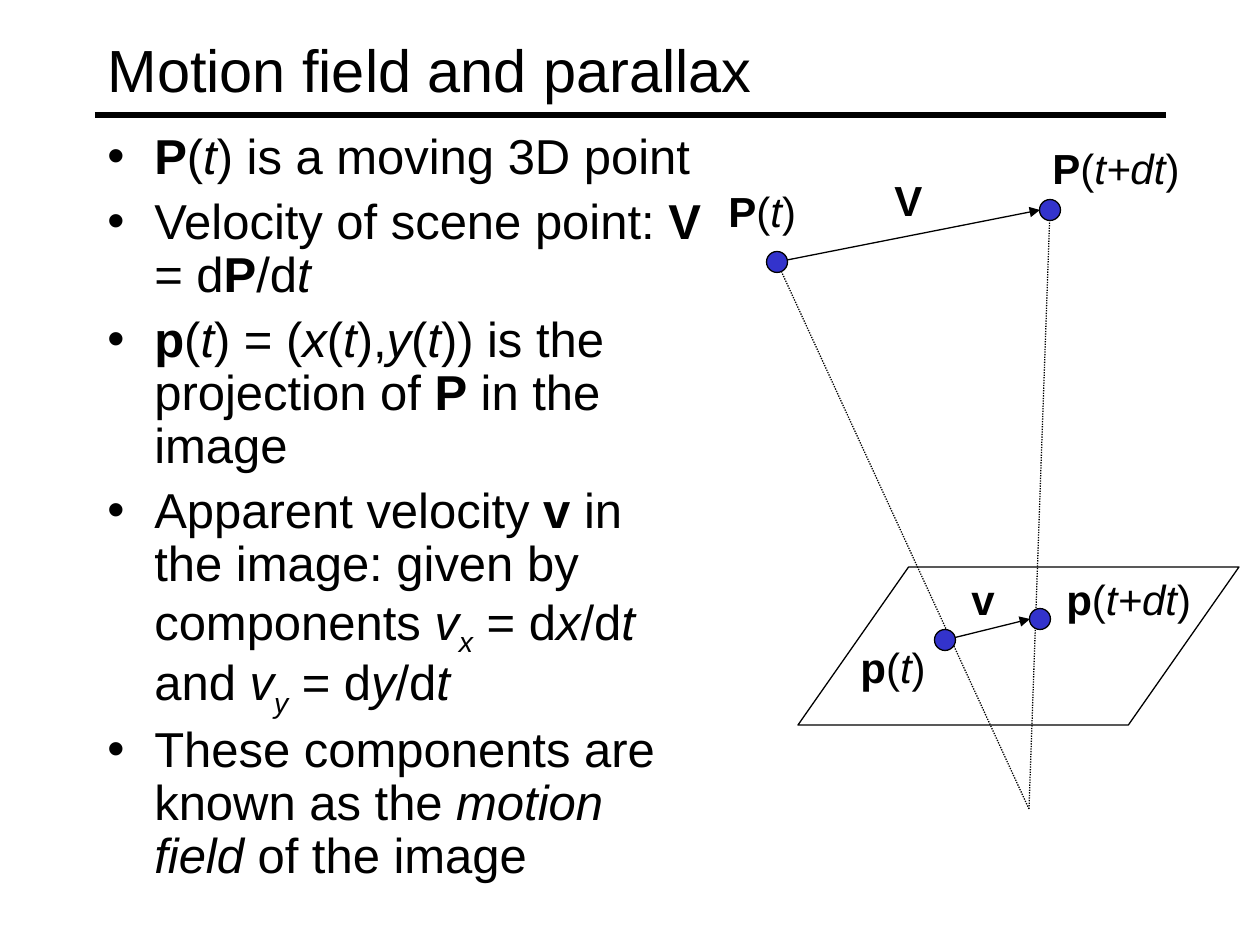
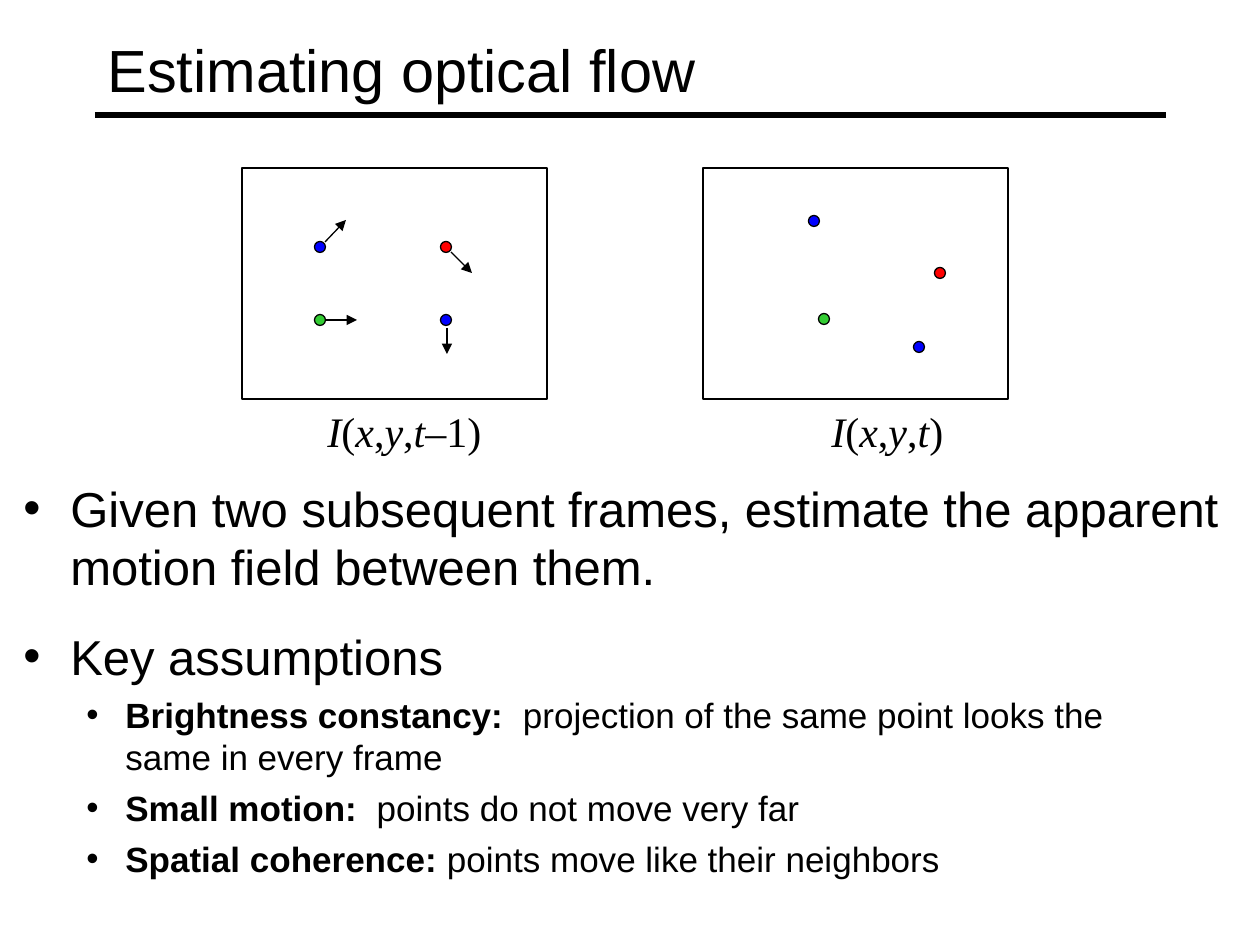
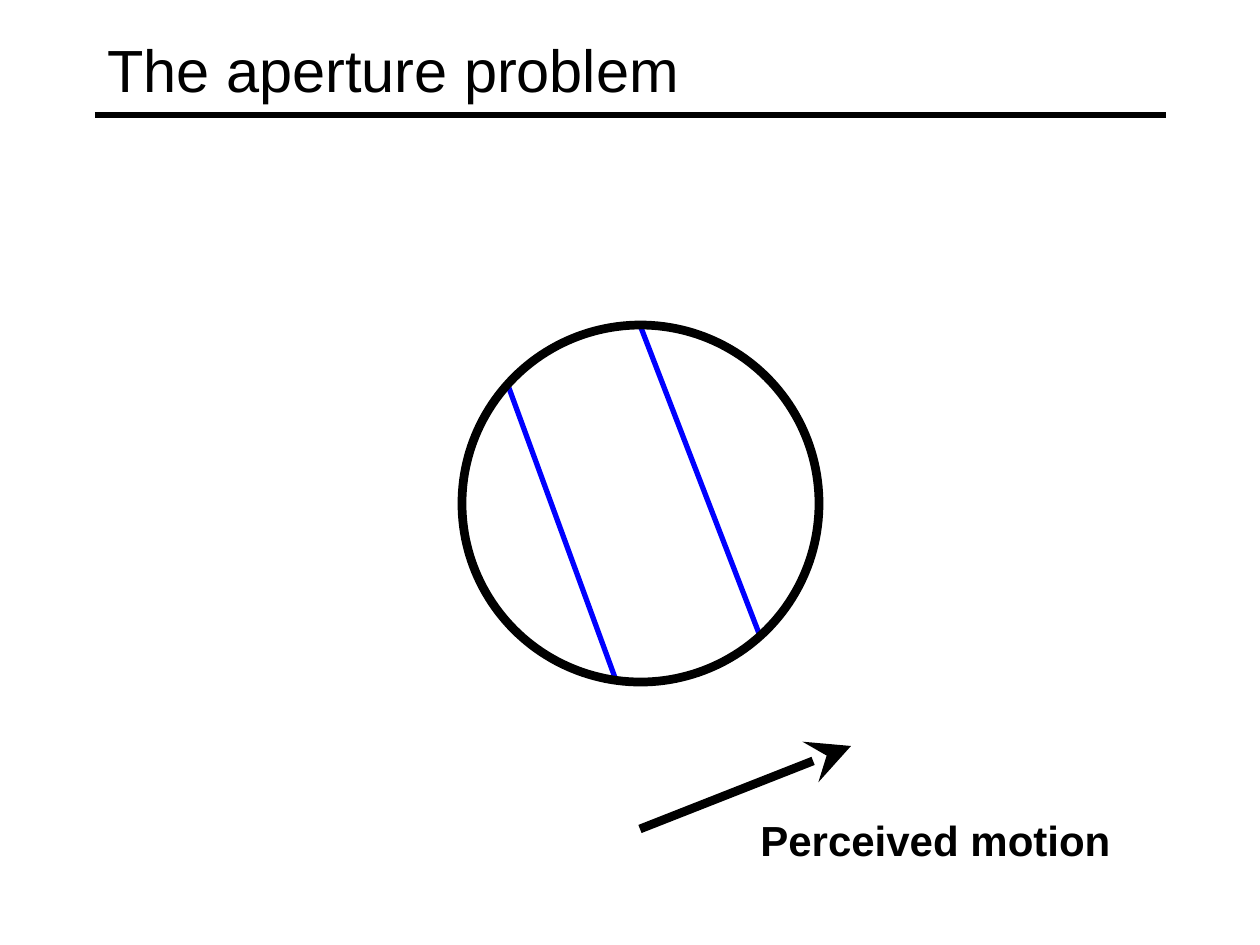
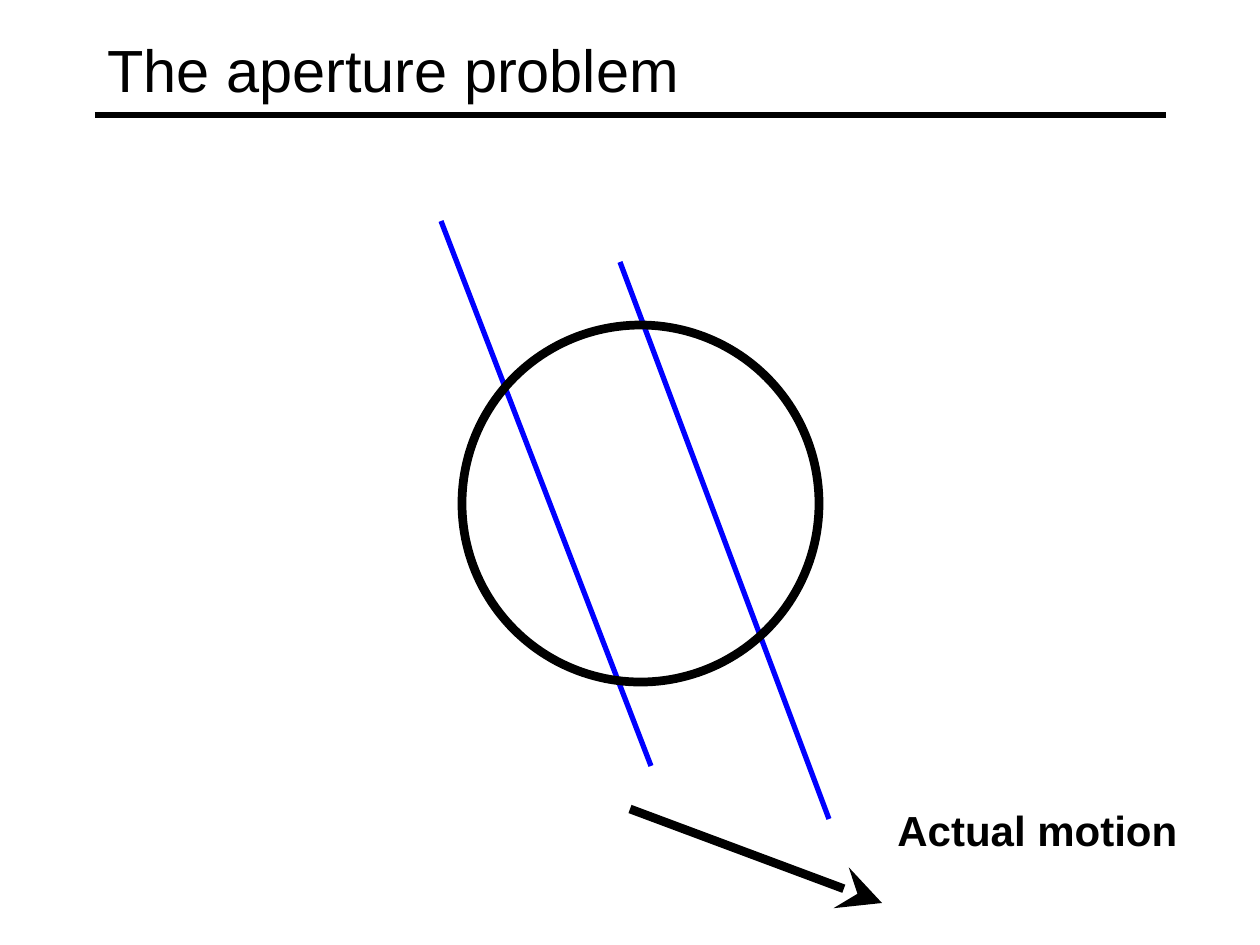
import pptx
import pptx.util
import pptx.dml.color
import pptx.enum.dml
import pptx.enum.shapes
import pptx.enum.text
import pptx.oxml.ns
from lxml import etree

PX_PER_INCH = 126
BLACK = pptx.dml.color.RGBColor(0x00, 0x00, 0x00)
WHITE = pptx.dml.color.RGBColor(0xFF, 0xFF, 0xFF)
BLUE = pptx.dml.color.RGBColor(0x00, 0x00, 0xFF)
RED = pptx.dml.color.RGBColor(0xFF, 0x00, 0x00)
GREEN = pptx.dml.color.RGBColor(0x33, 0xCC, 0x33)
INDIGO = pptx.dml.color.RGBColor(0x33, 0x33, 0xCC)
SANS = "Arial"
SERIF = "Times New Roman"
LABEL_HEIGHT = 63
SHAPES = pptx.enum.shapes.MSO_SHAPE
DOTTED = pptx.enum.dml.MSO_LINE.ROUND_DOT

# Arrowheads: type, and width and length
SMALL_HEAD = {"type": "triangle"}
LARGE_HEAD = {"type": "stealth", "w": "lg", "len": "lg"}

# Bullet levels: text size, left indent px, hanging px, space before
LEVELS = [(28, 47, 47, 7), (20, 102, 39, 5)]


def px(length):
    return pptx.util.Emu(round(length * 914400 / PX_PER_INCH))


def add_child(parent, tag, **attributes):
    return etree.SubElement(parent, pptx.oxml.ns.qn(tag), attributes)


# Text: a run is a plain string or (string, style); b bold, i italic, s subscript
def add_runs(para, runs, size, font=SANS):
    for run in runs:
        text, style = (run, "") if isinstance(run, str) else run
        span = para.add_run()
        span.text = text
        span.font.name = font
        span.font.size = pptx.util.Pt(size)
        span.font.color.rgb = BLACK
        span.font.bold = "b" in style
        span.font.italic = "i" in style
        if "s" in style:
            span.font._element.set("baseline", "-25000")


def add_label(page, left, top, width, runs, font=SANS):
    box = page.shapes.add_textbox(px(left), px(top), px(width), px(LABEL_HEIGHT))
    box.text_frame.word_wrap = False
    box.text_frame.auto_size = pptx.enum.text.MSO_AUTO_SIZE.SHAPE_TO_FIT_TEXT
    add_runs(box.text_frame.paragraphs[0], runs, 24, font)


def add_bullets(page, area, items, line_spacing=1.0):
    """Each item is (level, runs)."""
    box = page.shapes.add_textbox(*map(px, area))
    frame = box.text_frame
    frame.word_wrap = True
    for index, (level, runs) in enumerate(items):
        para = frame.add_paragraph() if index else frame.paragraphs[0]
        size, indent, hanging, before = LEVELS[level]
        para.level = level
        para.line_spacing = line_spacing
        para.space_before = pptx.util.Pt(before)
        props = para._p.get_or_add_pPr()
        props.set("marL", str(px(indent)))
        props.set("indent", str(-px(hanging)))
        add_child(add_child(props, "a:buClr"), "a:srgbClr", val=str(BLACK))
        add_child(props, "a:buFont", typeface=SANS)
        add_child(props, "a:buChar", char="•")
        add_runs(para, runs, size)


# Shapes and lines
def add_figure(page, kind, area, fill=None, weight=0.75):
    figure = page.shapes.add_shape(kind, *map(px, area))
    figure.shadow.inherit = False
    if fill is None:
        figure.fill.background()
    else:
        figure.fill.solid()
        figure.fill.fore_color.rgb = fill
    figure.line.color.rgb = BLACK
    figure.line.width = pptx.util.Pt(weight)
    return figure


def add_dot(page, x, y, size, fill):
    add_figure(page, SHAPES.OVAL, (x - size / 2, y - size / 2, size, size), fill)


def add_line(page, start, end, weight=0.75, color=BLACK, dash=None, head=None):
    line = page.shapes.add_connector(
        pptx.enum.shapes.MSO_CONNECTOR.STRAIGHT, *map(px, (*start, *end)))
    line.line.color.rgb = color
    line.line.width = pptx.util.Pt(weight)
    if dash is not None:
        line.line.dash_style = dash
    if head:
        add_child(line.line._get_or_add_ln(), "a:tailEnd", **head)
    add_child(line._element.spPr, "a:effectLst")


# Every page: title above a rule
def add_page(deck, title):
    page = deck.slides.add_slide(deck.slide_layouts[5])
    add_line(page, (95, 115), (1166, 115), 3)
    holder = page.shapes.title
    holder.left, holder.top, holder.width, holder.height = map(px, (95, 11, 1071, 116))
    frame = holder.text_frame
    frame.word_wrap = True
    frame.auto_size = pptx.enum.text.MSO_AUTO_SIZE.NONE
    frame.vertical_anchor = pptx.enum.text.MSO_ANCHOR.MIDDLE
    para = frame.paragraphs[0]
    para.alignment = pptx.enum.text.PP_ALIGN.LEFT
    add_runs(para, [title], 34)
    return page


# Moving point projected through the image plane
def draw_projection(page, left, top):
    def at(x, y):
        return left + x, top + y

    scene_start, scene_end = at(61, 126), at(334, 74)
    image_start, image_end = at(229, 504), at(324, 483)
    eye = at(313, 673)
    radius = 10

    for scene_point in (scene_start, scene_end):
        add_line(page, eye, scene_point, dash=DOTTED)
    plane = add_figure(page, SHAPES.PARALLELOGRAM, (*at(82, 431), 441, 158))
    plane.adjustments[0] = 0.7
    for start, end in ((scene_start, scene_end), (image_start, image_end)):
        add_line(page, start, (end[0] - radius, end[1]), head=SMALL_HEAD)
        for point in (start, end):
            add_dot(page, *point, 2 * radius + 1, INDIGO)

    for x, y, width, name, time in (
            (132, 499, 92, "p", "t"), (338, 431, 152, "p", "t+dt"),
            (0, 43, 96, "P", "t"), (324, 0, 154, "P", "t+dt"),
            (166, 32, 54, "V", None), (243, 431, 49, "v", None)):
        argument = ["(", (time, "i"), ")"] if time else []
        add_label(page, *at(x, y), width, [(name, "b"), *argument])


def build_motion_field(deck):
    page = add_page(deck, "Motion field and parallax")
    t, x, y = ("t", "i"), ("x", "i"), ("y", "i")
    add_bullets(page, (95, 126, 620, 788), [
        (0, [("P", "b"), "(", t, ") is a moving 3D point"]),
        (0, ["Velocity of scene point: ", ("V", "b"), " = d", ("P", "b"), "/d", t]),
        (0, [("p", "b"), "(", t, ") = (", x, "(", t, "),", y, "(", t,
             ")) is the projection of ", ("P", "b"), " in the image"]),
        (0, ["Apparent velocity ", ("v ", "b"), "in the image: given by components ",
             ("v", "i"), ("x", "is"), " = d", x, "/d", t, " and ",
             ("v", "i"), ("y", "is"), " = d", y, "/d", t]),
        (0, ["These components are known as the ", ("motion field", "i"),
             " of the image"]),
    ], 0.9)
    draw_projection(page, 716, 136)


# One video frame with its points, motion arrows and caption
def draw_frame(page, left, top, points, arrows, caption_left, caption_width, time):
    add_figure(page, SHAPES.RECTANGLE, (left, top, 305, 231), WHITE)
    for (x, y), color in zip(points, (BLUE, RED, GREEN, BLUE)):
        add_dot(page, left + x, top + y, 11, color)
    for x1, y1, x2, y2 in arrows:
        add_line(page, (left + x1, top + y1), (left + x2, top + y2), head=SMALL_HEAD)
    add_label(page, left + caption_left, top + 231, caption_width,
              [("I", "i"), "(", ("x", "i"), ",", ("y", "i"), ",", ("t", "i"), time],
              SERIF)


def build_optical_flow(deck):
    page = add_page(deck, "Estimating optical flow")
    add_bullets(page, (11, 472, 1229, 136), [
        (0, ["Given two subsequent frames, estimate the apparent "
             "motion field between them."])])
    draw_frame(page, 242, 168, [(78, 79), (204, 79), (78, 152), (204, 152)],
               [(83, 74, 104, 52), (83, 152, 115, 152),
                (209, 84, 230, 105), (205, 160, 205, 186)], 73, 181, "–1)")
    draw_frame(page, 703, 168, [(111, 53), (237, 105), (121, 151), (216, 179)],
               [], 116, 139, ")")
    add_bullets(page, (11, 620, 1134, 305), [
        (0, ["Key assumptions"]),
        (1, [("Brightness constancy:  ", "b"),
             "projection of the same point looks the same in every frame"]),
        (1, [("Small motion:", "b"), "  points do not move very far"]),
        (1, [("Spatial coherence:", "b"), " points move like their neighbors"]),
    ])


# Circular aperture over two edges, with a motion arrow; offsets from the circle's box
def build_aperture(deck, edges, arrow, label, label_at, label_width):
    page = add_page(deck, "The aperture problem")
    left, top, diameter = 462, 325, 357

    def at(x, y):
        return left + x, top + y

    for start, end in edges:
        add_line(page, at(*start), at(*end), 3, BLUE)
    add_figure(page, SHAPES.OVAL, (left, top, diameter, diameter), weight=5)
    add_line(page, at(*arrow[0]), at(*arrow[1]), 5, head=LARGE_HEAD)
    add_label(page, *at(*label_at), label_width, [(label, "b")])


def main():
    deck = pptx.Presentation()
    deck.slide_width, deck.slide_height = px(1260), px(945)
    build_motion_field(deck)
    build_optical_flow(deck)
    build_aperture(deck, [((47, 63), (155, 358)), ((178, 0), (298, 311))],
                   ((178, 504), (389, 421)), "Perceived motion", (286, 483), 377)
    build_aperture(deck, [((-21, -104), (189, 441)), ((158, -63), (367, 494))],
                   ((168, 484), (420, 578)), "Actual motion", (423, 473), 307)
    deck.save("out.pptx")


if __name__ == "__main__":
    main()
